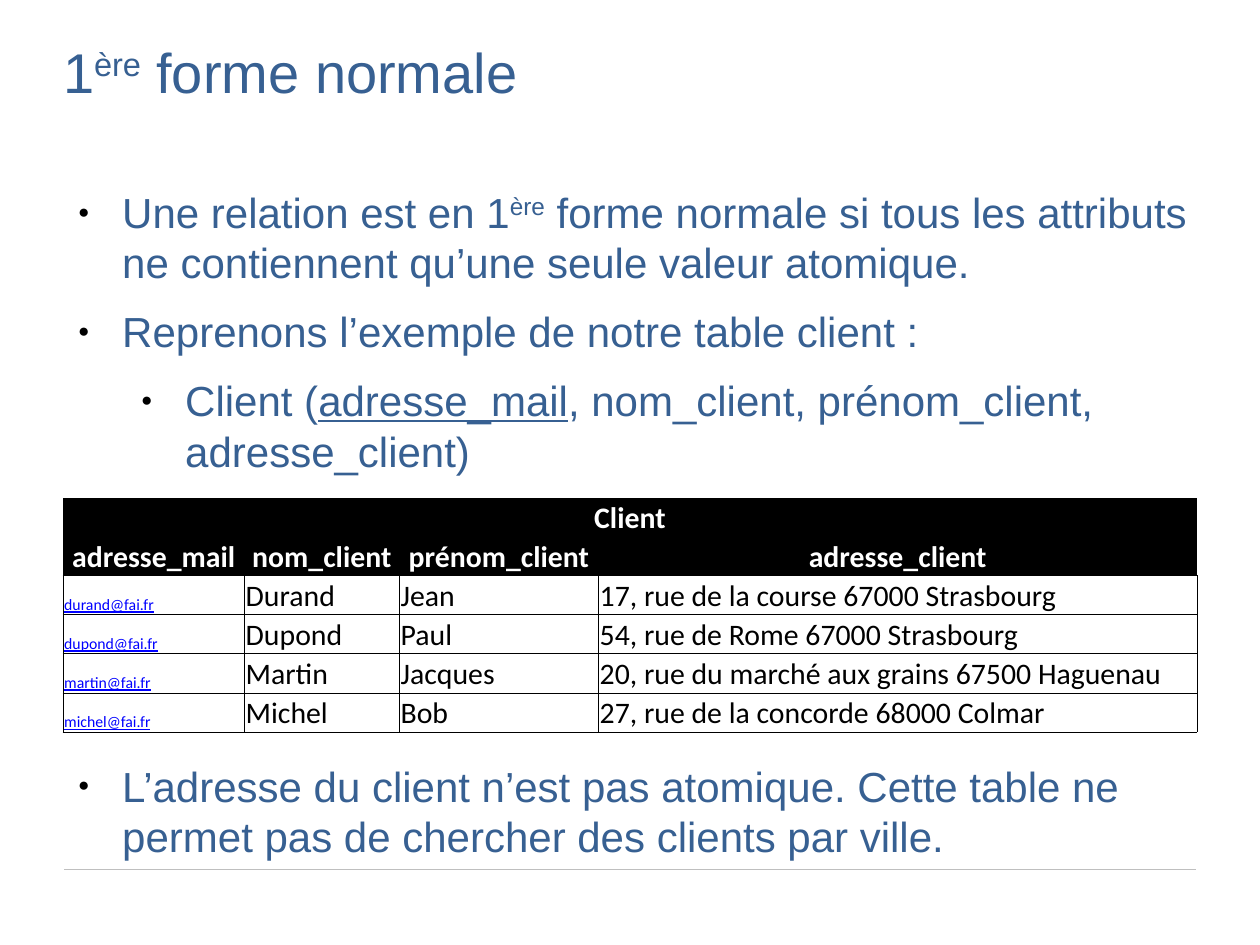
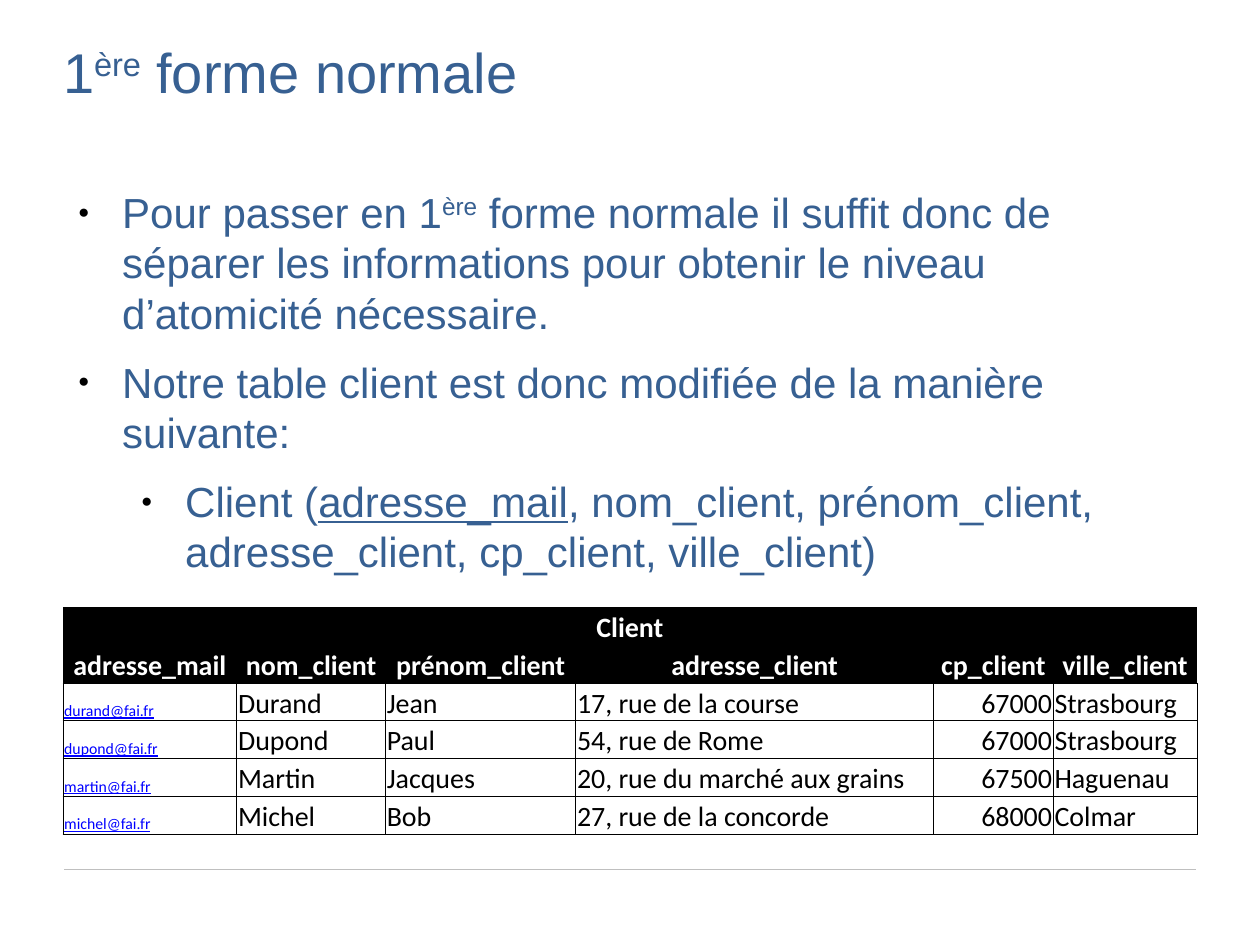
from lxml.etree import SubElement
from pptx import Presentation
from pptx.dml.color import RGBColor
from pptx.enum.shapes import MSO_CONNECTOR as Connector
from pptx.enum.text import MSO_ANCHOR as Anchor, MSO_AUTO_SIZE as AutoSize, PP_ALIGN as Align
from pptx.oxml import parse_xml
from pptx.oxml.ns import nsdecls, qn
from pptx.util import Inches, Pt

COLORS = {"text": "376092", "rule": "BFBFBF", "black": "000000", "white": "FFFFFF", "mail": "0000FF"}
TITLE = [("1", ""), ("ère", "super"), (" forme normale", "")]
HEADERS = ["adresse_mail", "nom_client", "prénom_client", "adresse_client"]
CLIENTS = [
    ("durand@fai.fr", "Durand", "Jean", "17, rue de la course", "67000", "Strasbourg"),
    ("dupond@fai.fr", "Dupond", "Paul", "54, rue de Rome", "67000", "Strasbourg"),
    ("martin@fai.fr", "Martin", "Jacques", "20, rue du marché aux grains", "67500", "Haguenau"),
    ("michel@fai.fr", "Michel", "Bob", "27, rue de la concorde", "68000", "Colmar"),
]


def color(name):
    """Return a named colour of the palette."""
    return RGBColor.from_string(COLORS[name])


def add_run(paragraph, text, font, size, color_name, style=""):
    """Add one formatted run; style is empty, super, underline or bold."""
    run = paragraph.add_run()
    run.text = text
    run.font.name = font
    run.font.size = Pt(size)
    run.font.color.rgb = color(color_name)
    run.font.bold = style == "bold"
    run.font.underline = style == "underline"
    if style == "super":
        run.font._element.set("baseline", "30000")


def place(shape, left, top, width, height):
    """Move a text placeholder and clear its margins."""
    shape.left, shape.top = Inches(left), Inches(top)
    shape.width, shape.height = Inches(width), Inches(height)
    frame = shape.text_frame
    frame.margin_left = frame.margin_right = frame.margin_top = frame.margin_bottom = 0
    frame.vertical_anchor = Anchor.TOP
    frame.auto_size = AutoSize.NONE
    frame.word_wrap = True
    return frame


def add_bullet(paragraph, level, runs, space_before=0):
    """Fill a paragraph as a bulleted list item."""
    paragraph.level = level
    paragraph.space_before = Pt(space_before)
    paragraph.space_after = Pt(10.6)
    properties = paragraph._p.get_or_add_pPr()
    properties.set("marL", str(Inches(0.47 + 0.5 * level)))
    properties.set("indent", str(Inches(-0.35)))
    bullet_color = SubElement(properties, qn("a:buClr"))
    SubElement(bullet_color, qn("a:srgbClr"), val=COLORS["black"])
    SubElement(properties, qn("a:buSzPct"), val="45000")
    SubElement(properties, qn("a:buFont"), typeface="Arial")
    SubElement(properties, qn("a:buChar"), char="●")
    for text, style in runs:
        add_run(paragraph, text, "Arial", 24, "text", style)


def add_rule(slide):
    """Draw the footer line."""
    line = slide.shapes.add_connector(
        Connector.STRAIGHT, Inches(0.51), Inches(6.9), Inches(9.49), Inches(6.9))
    line.line.color.rgb = color("rule")
    line.line.width = Pt(0.74)
    SubElement(line._element.spPr, qn("a:effectLst"))


def set_borders(cell, sides):
    """Draw thin black borders on the given sides and none on the others."""
    properties = cell._tc.get_or_add_tcPr()
    for index, side in enumerate("LRTB"):
        paint = "<a:noFill/>"
        if side in sides:
            paint = f'<a:solidFill><a:srgbClr val="{COLORS["black"]}"/></a:solidFill>'
        border = parse_xml(f'<a:ln{side} {nsdecls("a")} w="{Pt(0.5)}">{paint}</a:ln{side}>')
        properties.insert(index, border)


def fill_cell(cell, text, size, color_name, style, alignment, fill, sides):
    """Write and format one table cell."""
    cell.margin_left = cell.margin_right = cell.margin_top = Inches(0.01)
    cell.margin_bottom = 0
    cell.vertical_anchor = Anchor.BOTTOM
    cell.fill.solid()
    cell.fill.fore_color.rgb = color(fill)
    set_borders(cell, sides)
    paragraph = cell.text_frame.paragraphs[0]
    paragraph.alignment = alignment
    if text:
        add_run(paragraph, text, "Calibri", size, color_name, style)


def add_client_table(slide, top, widths, row_height, size, headers, records):
    """Add the client table with its two black heading rows."""
    rows = [["Client"] + [""] * (len(headers) - 1), headers, *records]
    frame = slide.shapes.add_table(
        len(rows), len(headers), Inches(0.5), Inches(top),
        Inches(sum(widths)), Inches(row_height * len(rows)))
    table = frame.table
    table.first_row = table.horz_banding = False
    for column, width in zip(table.columns, widths):
        column.width = Inches(width)
    for row_index, row in enumerate(rows):
        table.rows[row_index].height = Inches(row_height)
        for column_index, text in enumerate(row):
            cell = table.cell(row_index, column_index)
            if row_index < 2:
                sides = "B" if row_index else ""
                fill_cell(cell, text, size, "white", "bold", Align.CENTER, "black", sides)
            elif column_index == 0:
                fill_cell(cell, text, 9, "mail", "underline", Align.LEFT, "white", "LRTB")
            else:
                alignment = Align.RIGHT if text.isdigit() else Align.LEFT
                fill_cell(cell, text, size, "black", "", alignment, "white", "LRTB")
    table.cell(0, 0).merge(table.cell(0, len(headers) - 1))


def add_slide(presentation, bullets):
    """Add a slide with the shared title, footer line and a bulleted list."""
    slide = presentation.slides.add_slide(presentation.slide_layouts[1])
    add_rule(slide)
    title = place(slide.shapes.title, 0.5, 0.3, 9, 1.25).paragraphs[0]
    title.alignment = Align.LEFT
    for text, style in TITLE:
        add_run(title, text, "Arial", 32, "text", style)
    body = place(slide.placeholders[1], 0.5, 1.48, 9, 4.95)
    for index, bullet in enumerate(bullets):
        paragraph = body.add_paragraph() if index else body.paragraphs[0]
        add_bullet(paragraph, *bullet)
    return slide


def relation(attributes):
    """Return the runs of the client relation with its key underlined."""
    return [("Client (", ""), (HEADERS[0], "underline"), (", " + ", ".join(attributes) + ")", "")]


def main():
    """Build and save the presentation."""
    presentation = Presentation()
    presentation.slide_width, presentation.slide_height = Inches(10), Inches(7.5)

    slide = add_slide(presentation, [
        (0, [("Une relation est en 1", ""), ("ère", "super"),
             (" forme normale si tous les attributs ne contiennent qu’une seule valeur atomique.", "")]),
        (0, [("Reprenons l’exemple de notre table client :", "")]),
        (1, relation(HEADERS[1:])),
        (0, [("L’adresse du client n’est pas atomique. Cette table ne permet pas de "
              "chercher des clients par ville.", "")], 152),
    ])
    whole_addresses = [(*client[:3], " ".join(client[3:])) for client in CLIENTS]
    add_client_table(slide, 3.95, [1.44, 1.23, 1.58, 4.75], 0.31, 17, HEADERS, whole_addresses)

    split_headers = HEADERS + ["cp_client", "ville_client"]
    slide = add_slide(presentation, [
        (0, [("Pour passer en 1", ""), ("ère", "super"),
             (" forme normale il suffit donc de séparer les informations pour obtenir "
              "le niveau d’atomicité nécessaire.", "")]),
        (0, [("Notre table client est donc modifiée de la manière suivante:", "")]),
        (1, relation(split_headers[1:])),
    ])
    add_client_table(slide, 4.82, [1.38, 1.18, 1.51, 2.84, 0.95, 1.14], 0.3, 16, split_headers, CLIENTS)
    presentation.save("out.pptx")


main()
